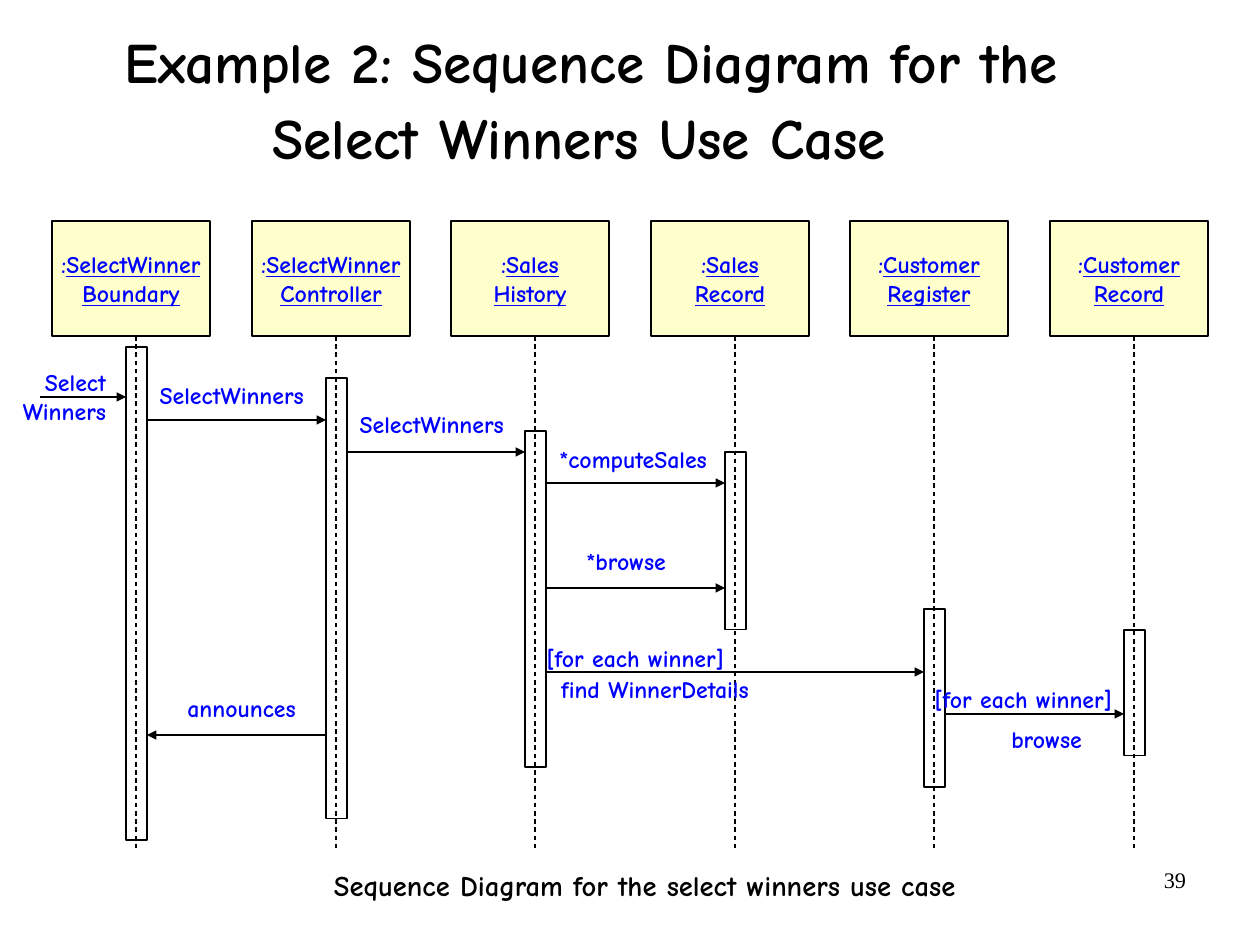
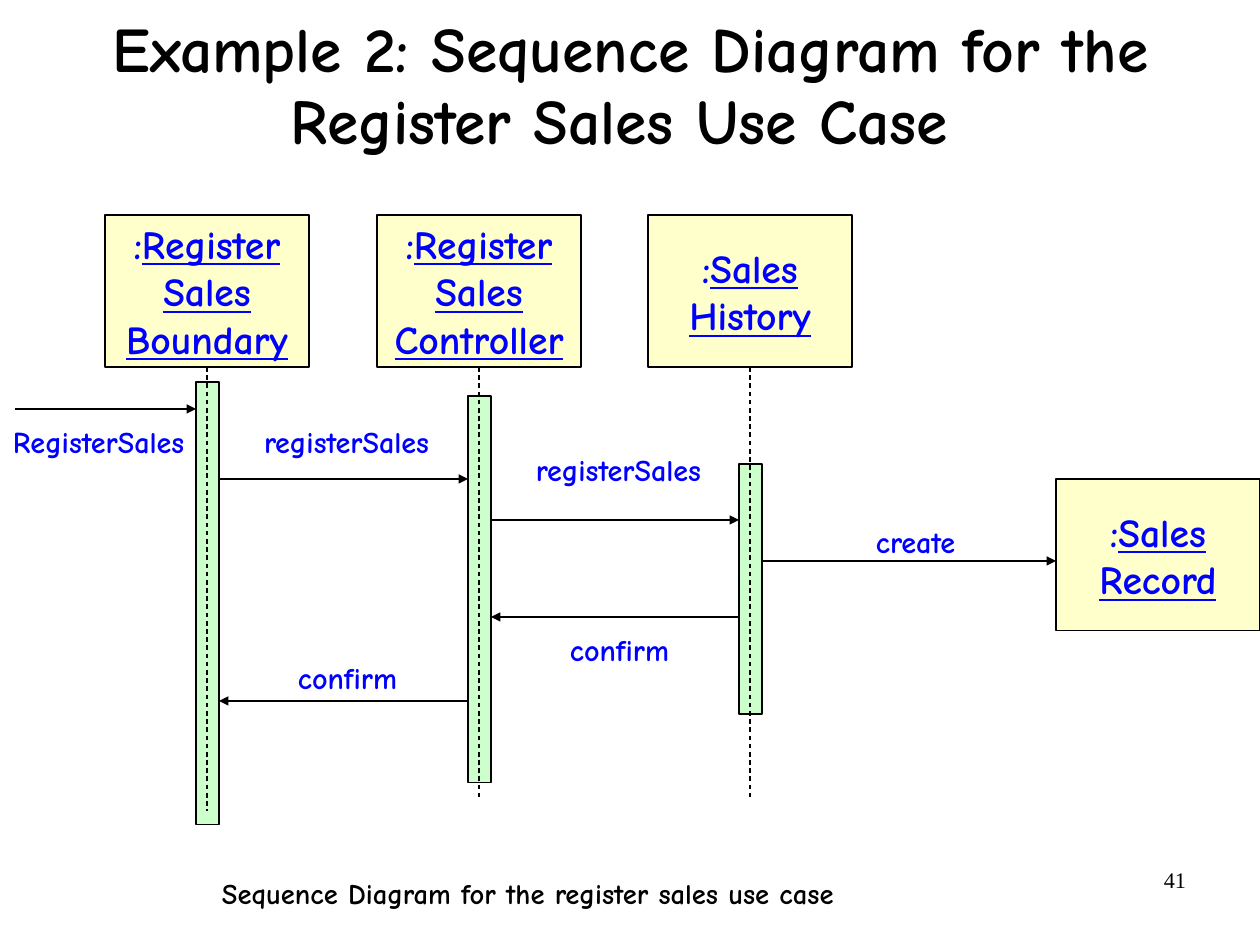
"""Builds two UML sequence diagram slides for the lottery example."""
from dataclasses import dataclass
from math import ceil

from lxml.etree import SubElement
from pptx import Presentation
from pptx.dml.color import RGBColor
from pptx.enum.dml import MSO_LINE
from pptx.enum.shapes import MSO_CONNECTOR, MSO_SHAPE
from pptx.enum.text import MSO_ANCHOR, MSO_AUTO_SIZE, PP_ALIGN
from pptx.oxml.ns import qn
from pptx.util import Emu, Pt

PX = Emu(8000)


@dataclass(frozen=True)
class Theme:
    """Colours, fonts and type sizes of the deck."""
    ink: RGBColor = RGBColor(0x00, 0x00, 0x00)
    label: RGBColor = RGBColor(0x00, 0x00, 0xFF)
    head_fill: RGBColor = RGBColor(0xFF, 0xFF, 0xCC)
    bar_fill: RGBColor = RGBColor(0xCC, 0xFF, 0xCC)
    font: str = "Comic Neue"
    number_font: str = "Times New Roman"
    title: int = 36
    title_large: int = 40
    title_end: int = 44
    head: int = 15
    head_large: int = 25
    message: int = 15
    message_large: int = 19
    caption: int = 18
    number: int = 14
    line: float = 0.75


THEME = Theme()


def style_text(shape, size, color, align, margins=(0, 0), font=THEME.font, wrap=False):
    """Format every run of a shape."""
    frame = shape.text_frame
    frame.word_wrap = wrap
    frame.margin_left = frame.margin_right = margins[0] * PX
    frame.margin_top = frame.margin_bottom = margins[1] * PX
    for para in frame.paragraphs:
        para.alignment = align
        for span in para.runs:
            span.font.size = Pt(size)
            span.font.name = font
            span.font.bold = font == THEME.font
            span.font.color.rgb = color


def draw_line(page, start, end, arrow):
    """Draw a message arrow or a dashed lifeline."""
    line = page.shapes.add_connector(
        MSO_CONNECTOR.STRAIGHT, *(value * PX for value in (*start, *end)))
    line.line.color.rgb = THEME.ink
    line.line.width = Pt(THEME.line)
    if arrow:
        SubElement(line.line._get_or_add_ln(), qn("a:tailEnd"), type="triangle")
    else:
        line.line.dash_style = MSO_LINE.DASH
    SubElement(line._element.spPr, qn("a:effectLst"))


DIAGRAMS = [
    dict(
        number="39",
        title="Example 2: Sequence Diagram for the Select Winners Use Case",
        title_box=(56, 25, 1071, 157), title_size=THEME.title,
        title_end=THEME.title_end, title_space=13.6,
        caption="Sequence Diagram for the select winners use case",
        caption_box=(334, 868, 640, 34),
        heads=["SelectWinner\nBoundary", "SelectWinner\nController", "Sales\nHistory",
               "Sales\nRecord", "Customer\nRegister", "Customer\nRecord"],
        head_left=52, head_top=221, head_size=(158, 115), head_type=THEME.head,
        pitch=199.5, axis=84, created=None,
        life_ends=[850] * 6,
        bars=[(347, 840), (378, 819), (431, 767), (452, 630), (609, 787), (630, 756)],
        bar_width=21, bar_fill=None, entry=40,
        messages=[(None, 0, 397), (0, 1, 420), (1, 2, 452), (2, 3, 483),
                  (2, 3, 588), (2, 4, 672), (4, 5, 714), (1, 0, 735)],
        label_type=THEME.message, label_align=PP_ALIGN.RIGHT, label_height=29,
        labels=[("Select\nWinners", 13, 368, 93), ("SelectWinners", 150, 381, 154),
                ("SelectWinners", 350, 410, 154), ("*computeSales", 549, 445, 158),
                ("*browse", 576, 547, 90), ("[for each winner]", 536, 644, 188),
                ("find WinnerDetails", 550, 675, 199), ("announces", 177, 694, 119),
                ("[for each winner]", 924, 685, 188), ("browse", 1001, 725, 81)],
    ),
    dict(
        number="41",
        title="Example 2: Sequence Diagram for the Register Sales Use Case",
        title_box=(32, 6, 1197, 162), title_size=THEME.title_large,
        title_end=THEME.title_large, title_space=8.1,
        caption="Sequence Diagram for the register sales use case",
        caption_box=(222, 876, 640, 34),
        heads=["Register\nSales\nBoundary", "Register\nSales\nController", "Sales\nHistory"],
        head_left=105, head_top=215, head_size=(204, 152), head_type=THEME.head_large,
        pitch=271.5, axis=102, created=("Sales\nRecord", 1056, 479),
        life_ends=[811, 797, 797],
        bars=[(382, 825), (396, 783), (464, 714)],
        bar_width=23, bar_fill=THEME.bar_fill, entry=15,
        messages=[(None, 0, 409), (0, 1, 479), (1, 2, 520), (2, None, 561),
                  (2, 1, 617), (1, 0, 701)],
        label_type=THEME.message_large, label_align=PP_ALIGN.LEFT, label_height=37,
        labels=[("RegisterSales", 13, 423, 181), ("registerSales", 264, 423, 177),
                ("registerSales", 536, 451, 177), ("create", 876, 523, 91),
                ("confirm", 570, 631, 109), ("confirm", 298, 659, 109)],
    ),
]

deck = Presentation()
deck.slide_width, deck.slide_height = 1260 * PX, 945 * PX

for diagram in DIAGRAMS:
    page = deck.slides.add_slide(deck.slide_layouts[5])

    title = page.shapes.title
    title.left, title.top, title.width, title.height = (
        value * PX for value in diagram["title_box"])
    title.text_frame.text = diagram["title"]
    para = title.text_frame.paragraphs[0]
    para.line_spacing = 0.94
    para.space_before = Pt(diagram["title_space"])
    ending = para.add_run()
    ending.text = " "
    style_text(title, diagram["title_size"], THEME.ink, PP_ALIGN.CENTER, (2, 7), wrap=True)
    ending.font.size = Pt(diagram["title_end"])
    title.text_frame.auto_size = MSO_AUTO_SIZE.NONE
    title.text_frame.vertical_anchor = MSO_ANCHOR.MIDDLE

    head_width, head_height = diagram["head_size"]
    head_top, bar_width = diagram["head_top"], diagram["bar_width"]
    lefts = [ceil(diagram["head_left"] + index * diagram["pitch"])
             for index in range(len(diagram["heads"]))]
    axes = [left + diagram["axis"] for left in lefts]
    bar_lefts = [axis - bar_width // 2 for axis in axes]

    boxes = [("", left, top, bar_width, bottom - top, diagram["bar_fill"])
             for left, (top, bottom) in zip(bar_lefts, diagram["bars"])]
    heads = [(name, left, head_top) for name, left in zip(diagram["heads"], lefts)]
    if diagram["created"]:
        heads.append(diagram["created"])
    boxes += [(*head, head_width, head_height, THEME.head_fill) for head in heads]

    for name, left, top, width, height, fill in boxes:
        box = page.shapes.add_shape(
            MSO_SHAPE.RECTANGLE, left * PX, top * PX, width * PX, height * PX)
        box.shadow.inherit = False
        box.line.color.rgb = THEME.ink
        box.line.width = Pt(THEME.line)
        if fill is None:
            box.fill.background()
        else:
            box.fill.solid()
            box.fill.fore_color.rgb = fill
        if name:
            box.text_frame.text = name
            para = box.text_frame.paragraphs[0]
            word = para.text
            para.text = ":"
            para.add_run().text = word
            style_text(box, diagram["head_type"], THEME.label, PP_ALIGN.CENTER, (13, 7))
            box.text_frame.vertical_anchor = MSO_ANCHOR.MIDDLE
            for para in box.text_frame.paragraphs:
                para.runs[-1].font.underline = True

    for axis, life_end in zip(axes, diagram["life_ends"]):
        draw_line(page, (axis, head_top + head_height), (axis, life_end), arrow=False)

    for source, target, level in diagram["messages"]:
        if source is None:
            start, end = diagram["entry"], bar_lefts[target]
        elif target is None:
            start, end = bar_lefts[source] + bar_width, diagram["created"][1]
        elif source < target:
            start, end = bar_lefts[source] + bar_width, bar_lefts[target]
        else:
            start, end = bar_lefts[source], bar_lefts[target] + bar_width
        draw_line(page, (start, level), (end, level), arrow=True)

    texts = [(text, (left, top, width, diagram["label_height"] * (text.count("\n") + 1)),
              diagram["label_type"], THEME.label, diagram["label_align"])
             for text, left, top, width in diagram["labels"]]
    texts.append((diagram["caption"], diagram["caption_box"],
                  THEME.caption, THEME.ink, PP_ALIGN.LEFT))
    for text, place, size, color, align in texts:
        label = page.shapes.add_textbox(*(value * PX for value in place))
        label.text_frame.text = text
        style_text(label, size, color, align)

    number = page.shapes.add_textbox(903 * PX, 860 * PX, 294 * PX, 65 * PX)
    number.text_frame.text = diagram["number"]
    style_text(number, THEME.number, THEME.ink, PP_ALIGN.RIGHT, (11, 6),
               THEME.number_font, wrap=True)

deck.save("out.pptx")
